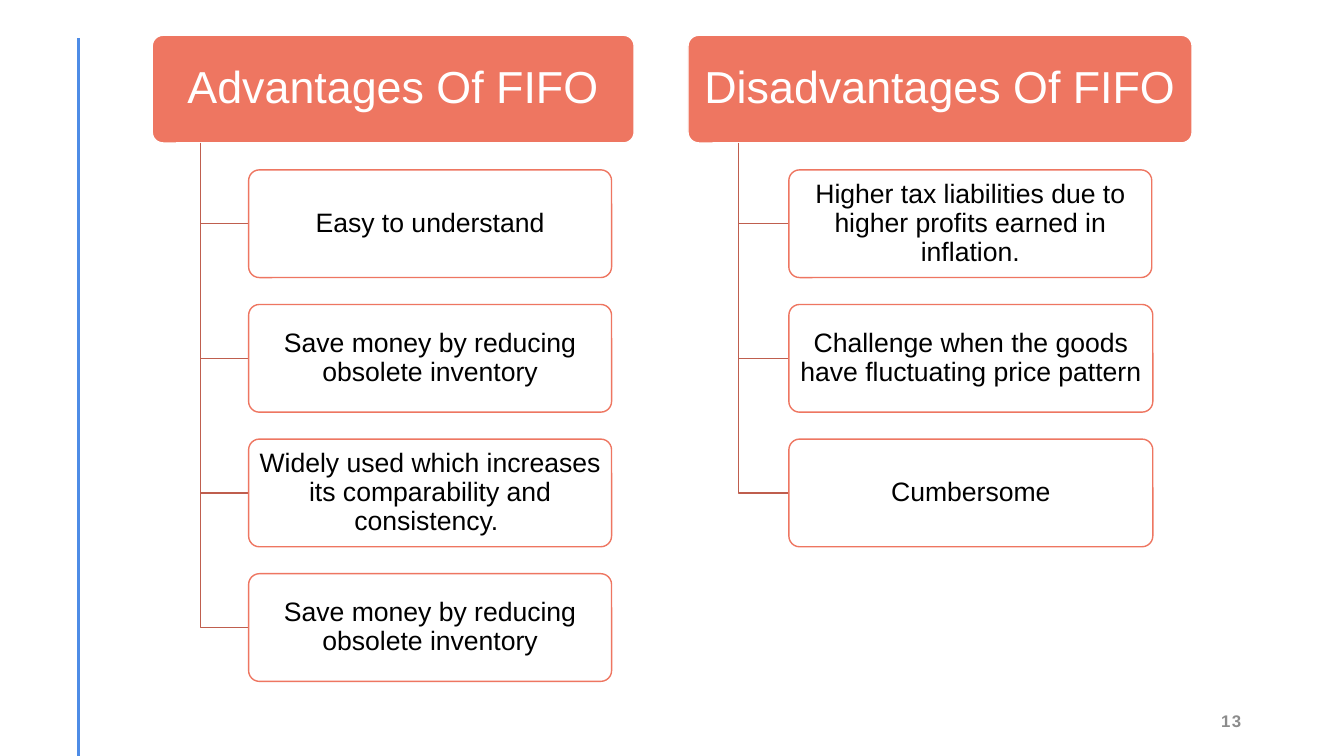
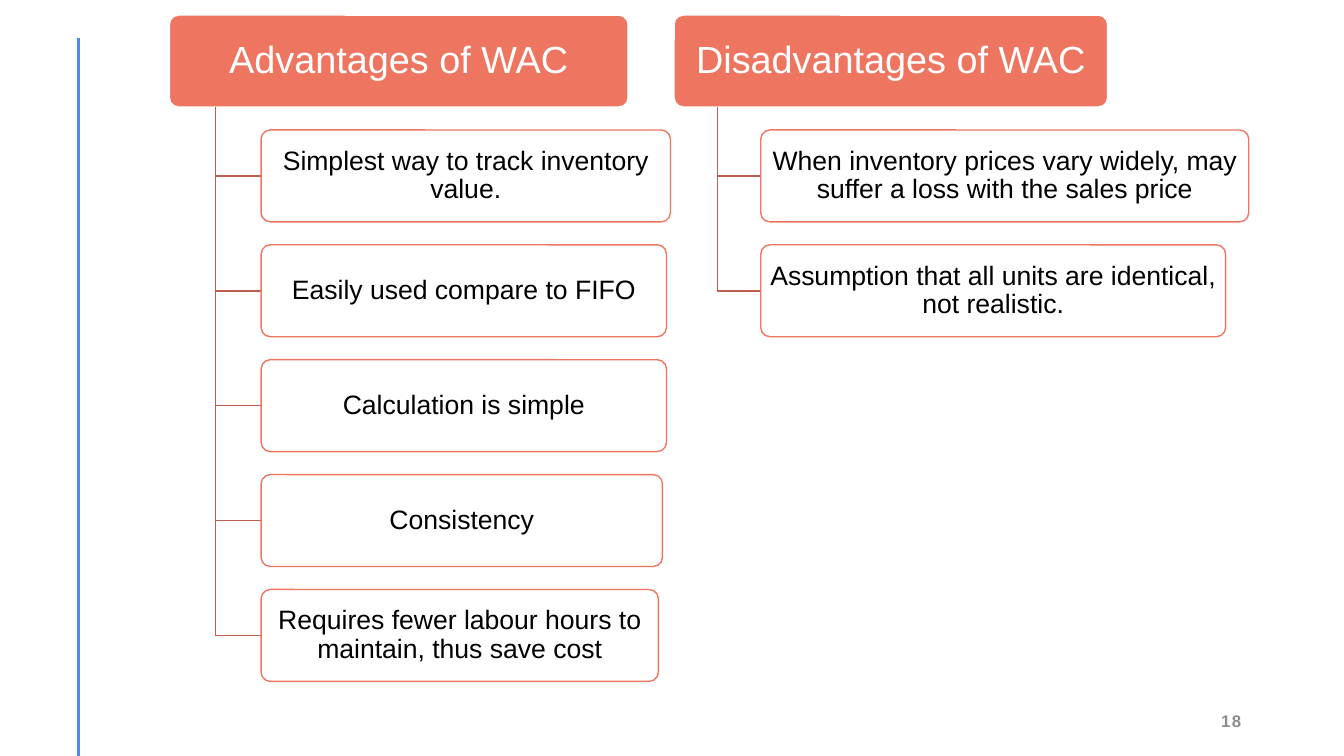
from pptx import Presentation, util as u
from pptx.dml.color import RGBColor
from pptx.enum import shapes, text
from pptx.oxml.ns import qn
from lxml import etree

SLIDES = [
    {
        "number": "13", "top": 0.35, "left": 1.51, "heading_size": 32,
        "columns": [
            ("Advantages Of FIFO", 4.78, [
                ("Easy to understand", 3.6),
                ("Save money by reducing obsolete inventory", 3.6),
                ("Widely used which increases its comparability and consistency. ", 3.6),
                ("Save money by reducing obsolete inventory", 3.6),
            ]),
            ("Disadvantages Of FIFO", 5, [
                ("Higher tax liabilities due to higher profits earned in inflation.", 3.6),
                ("Challenge when the goods have fluctuating price pattern", 3.61),
                ("Cumbersome", 3.61),
            ]),
        ],
    },
    {
        "number": "18", "top": 0.15, "left": 1.68, "heading_size": 27,
        "columns": [
            ("Advantages of WAC", 4.55, [
                ("Simplest way to track inventory value.", 4.06),
                ("Easily used compare to FIFO", 4.02),
                ("Calculation is simple", 4.02),
                ("Consistency", 3.98),
                ("Requires fewer labour hours to maintain, thus save cost", 3.94),
            ]),
            ("Disadvantages of WAC", 4.3, [
                ("When inventory prices vary widely, may suffer a loss with the sales price", 4.84),
                ("Assumption that all units are identical, not realistic.", 4.61),
            ]),
        ],
    },
]

WIDTH, HEIGHT = 13.33, 7.5
DIAGRAM_BOTTOM = 6.76
PITCH = 1.25    # row step, in card heights
GUTTER = 0.5    # space between columns, in card heights
TRUNK = 0.1     # trunk offset, as a share of the heading width
INDENT = 0.2    # card offset, as a share of the heading width
FONT = "Arial"
CORAL, BRANCH, BLUE = "EE7661", "BF5E4E", "4E8CE6"
WHITE, BLACK, GREY = "FFFFFF", "000000", "8C8C8C"


def rgb(value):
    return RGBColor.from_string(value)


def set_outline(shape, color, weight):
    shape.line.color.rgb = rgb(color)
    shape.line.width = u.Pt(weight)


def write(frame, words, size, color, align, bold=False):
    frame.word_wrap = True
    frame.vertical_anchor = text.MSO_ANCHOR.MIDDLE
    paragraph = frame.paragraphs[0]
    paragraph.text = words
    paragraph.alignment = align
    font = paragraph.font
    font.name, font.size, font.bold = FONT, u.Pt(size), bold
    font.color.rgb = rgb(color)
    return paragraph


def add_elbow(slide, trunk_x, start_y, card_x, middle_y):
    """Draw an open path down the trunk and across to a card."""
    x1, y1, x2, y2 = map(u.Inches, (trunk_x, start_y, card_x, middle_y))
    builder = slide.shapes.build_freeform(x1, y1)
    builder.add_line_segments([(x1, y2), (x2, y2)], close=False)
    elbow = builder.convert_to_shape()
    elbow.shadow.inherit = False
    elbow.fill.background()
    set_outline(elbow, BRANCH, 1)


def add_card(slide, box, words, size, fill, outline, color, insets):
    card = slide.shapes.add_shape(
        shapes.MSO_SHAPE.ROUNDED_RECTANGLE, *map(u.Inches, box))
    card.adjustments[0] = 0.1
    card.shadow.inherit = False
    card.fill.solid()
    card.fill.fore_color.rgb = rgb(fill)
    set_outline(card, outline, 1)
    frame = card.text_frame
    frame.margin_left = frame.margin_right = u.Inches(insets[0])
    frame.margin_top = frame.margin_bottom = u.Inches(insets[1])
    write(frame, words, size, color, text.PP_ALIGN.CENTER).line_spacing = 0.9


def add_column(slide, left, top, card_height, heading, width, items, heading_size):
    """Draw a heading with its cards hanging from a trunk line."""
    trunk_x, card_x = left + TRUNK * width, left + INDENT * width
    add_card(slide, (left, top, width, card_height), heading, heading_size,
             CORAL, WHITE, WHITE, (0.07, 0.04))
    for row, (words, card_width) in enumerate(items, 1):
        y = top + PITCH * card_height * row
        add_elbow(slide, trunk_x, top + card_height, card_x, y + card_height / 2)
        add_card(slide, (card_x, y, card_width, card_height), words, 19,
                 WHITE, CORAL, BLACK, (0.04, 0.03))


def add_page_number(slide, number):
    box = slide.shapes.add_textbox(*map(u.Inches, (9.41, 6.95, 3, 0.4)))
    paragraph = write(box.text_frame, number, 12, GREY, text.PP_ALIGN.RIGHT, bold=True)
    paragraph.runs[0]._r.get_or_add_rPr().set("spc", "100")


def add_comparison(prs, layout, content):
    slide = prs.slides.add_slide(layout)
    top, left = content["top"], content["left"]
    rows = max(len(items) for _, _, items in content["columns"])
    card_height = (DIAGRAM_BOTTOM - top) / (PITCH * rows + 1)
    for heading, width, items in content["columns"]:
        add_column(slide, left, top, card_height, heading, width, items,
                   content["heading_size"])
        left += width + GUTTER * card_height
    add_page_number(slide, content["number"])
    return slide


def add_side_rule(slide, layout):
    """Draw the rule and hand it to the layout, so every slide inherits it."""
    rule = slide.shapes.add_connector(
        shapes.MSO_CONNECTOR.STRAIGHT, *map(u.Inches, (0.78, 0.38, 0.78, HEIGHT)))
    set_outline(rule, BLUE, 2)
    etree.SubElement(rule.element.spPr, qn("a:effectLst"))
    layout.shapes.element.append(rule.element)


def main():
    prs = Presentation()
    prs.slide_width, prs.slide_height = u.Inches(WIDTH), u.Inches(HEIGHT)
    layout = prs.slide_layouts[6]
    slides = [add_comparison(prs, layout, content) for content in SLIDES]
    add_side_rule(slides[0], layout)
    prs.save("out.pptx")


if __name__ == "__main__":
    main()
